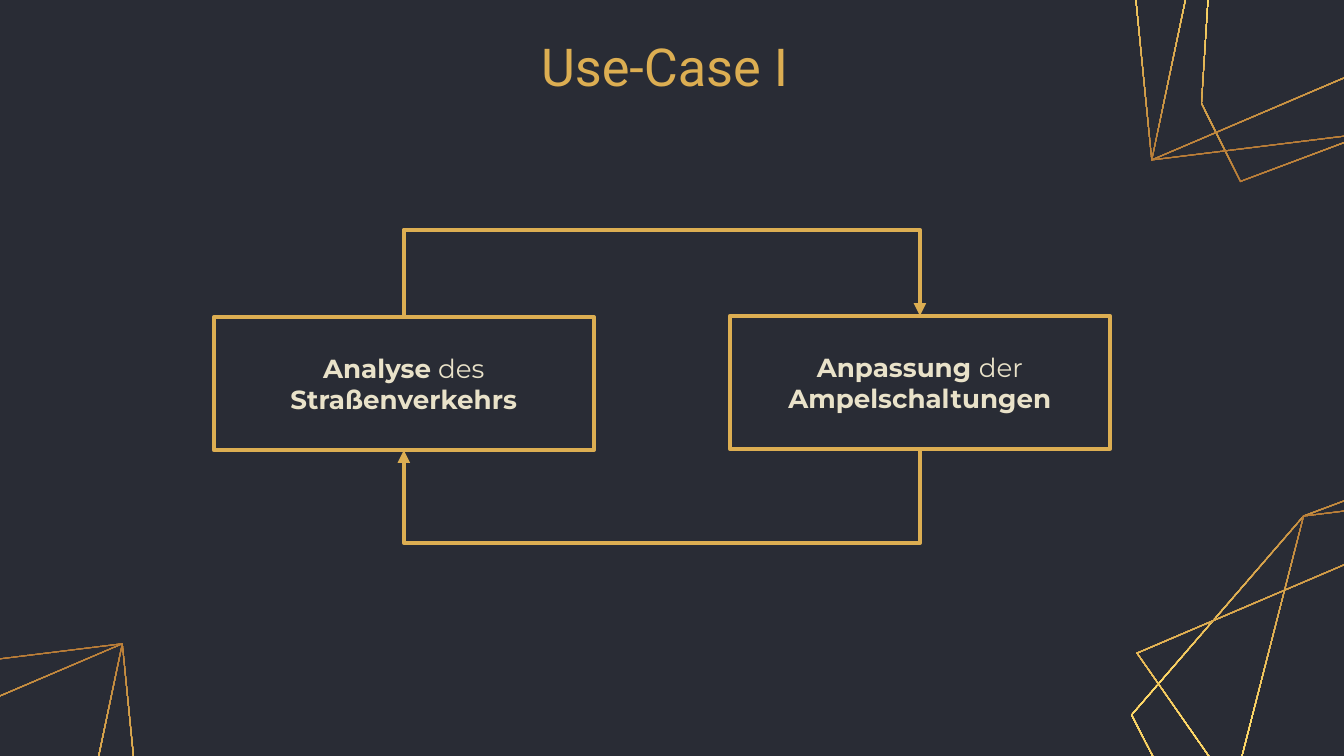
from copy import deepcopy
from math import hypot

from lxml import etree
from pptx import Presentation
from pptx.dml.color import RGBColor
from pptx.enum.shapes import MSO_CONNECTOR, MSO_SHAPE
from pptx.enum.text import MSO_ANCHOR, PP_ALIGN
from pptx.oxml.ns import qn
from pptx.util import Inches, Pt

RECTANGLE = MSO_SHAPE.RECTANGLE
ELBOW = MSO_CONNECTOR.ELBOW
CENTER = PP_ALIGN.CENTER
MIDDLE = MSO_ANCHOR.MIDDLE
TOP, BOTTOM = 0, 2

THEME = {
    "background": "292C35", "gold": "DCAE52", "text": "E9E2C9",
    "gradient": [(0, "AF7132"), (0.5, "FFDD6B"), (1, "DCAE52")],
    "title_font": "Roboto", "title_size": 28,
    "body_font": "Montserrat", "body_size": 14,
    "box_line": 2, "arrow_line": 2.25, "wire": 0.5,
}

TITLE = "Use-Case I"
STEP_SIZE = (2.83, 0.99)
STEPS = [  # left, top, (text, bold) spans
    (1.59, 2.36, [("Analyse", True), (" des ", False), ("Straßenverkehrs", True)]),
    (5.43, 2.35, [("Anpassung ", True), ("der ", False), ("Ampelschaltungen", True)]),
]
ARROWS = [  # from step, to step, side, height of the horizontal lane
    (0, 1, TOP, 1.7),
    (1, 0, BOTTOM, 4.05),
]

HEXAGON = [(9.02, 6.49), (8.42, 5.32), (9.7, 3.84), (10.66, 3.48), (10.95, 4.06), (10.83, 5.97)]
PENTAGON = [(9.89, 6.91), (9.02, 6.49), (9.7, 3.84), (11.32, 3.64), (10.83, 5.97)]
QUAD = [(9.89, 6.91), (8.46, 4.86), (11.32, 3.64), (11.45, 4.95)]
CORNERS = [  # outlines, direction (-1 is a half turn), shift, gradient angle
    ([HEXAGON, PENTAGON, QUAD], 1, (0, 0), 275.6),
    ([HEXAGON, PENTAGON, QUAD], -1, (19.89, 4.83), 95.6),
    ([PENTAGON, QUAD], 1, (-10.41, 1.15), 275.6),
]


def color(name):
    return RGBColor.from_string(THEME.get(name, name))


def inset(points, distance):
    """Move every edge of a convex outline inwards by distance."""
    moved = []
    for i, (x, y) in enumerate(points):
        (px, py), (nx, ny) = points[i - 1], points[(i + 1) % len(points)]
        before, after = hypot(x - px, y - py), hypot(nx - x, ny - y)
        ux, uy = (x - px) / before, (y - py) / before
        vx, vy = (nx - x) / after, (ny - y) / after
        reach = distance / abs(ux * vy - uy * vx)
        moved.append((x + reach * (vx - ux), y + reach * (vy - uy)))
    return moved


def add_wire(page, points, angle):
    """Draw an outline as a thin ring, so that it can hold a gradient."""
    half = Pt(THEME["wire"]).inches / 2
    rings = [[(Inches(x), Inches(y)) for x, y in ring]
             for ring in (inset(points, -half), inset(points, half)[::-1])]
    builder = page.shapes.build_freeform(*rings[0][0])
    builder.add_line_segments(rings[0][1:], close=True)
    builder.move_to(*rings[1][0])
    builder.add_line_segments(rings[1][1:], close=True)
    wire = builder.convert_to_shape()
    wire.shadow.inherit = False
    wire.line.fill.background()
    wire.fill.gradient()
    wire.fill.gradient_angle = angle
    stop_list = next(wire._element.iter(qn("a:gsLst")))
    stop_list.append(deepcopy(stop_list[0]))
    for stop, (position, tint) in zip(wire.fill.gradient_stops, THEME["gradient"]):
        stop.position = position
        stop.color.rgb = color(tint)


def style_para(para, font, size, tint):
    para.alignment = CENTER
    para.font.name = THEME[font]
    para.font.size = Pt(THEME[size])
    para.font.color.rgb = color(tint)


def add_step(page, left, top, spans):
    box = page.shapes.add_shape(RECTANGLE, *map(Inches, (left, top, *STEP_SIZE)))
    box.shadow.inherit = False
    box.fill.background()
    box.line.color.rgb = color("gold")
    box.line.width = Pt(THEME["box_line"])
    box.text_frame.word_wrap = True
    box.text_frame.vertical_anchor = MIDDLE
    para = box.text_frame.paragraphs[0]
    style_para(para, "body_font", "body_size", "text")
    for text, bold in spans:
        span = para.add_run()
        span.text = text
        span.font.bold = bold
    return box


def add_arrow(page, source, target, side, lane):
    """Join two boxes by a bent arrow that runs along the lane height."""
    arrow = page.shapes.add_connector(ELBOW, 0, 0, 0, 0)
    arrow.begin_connect(source, side)
    arrow.end_connect(target, side)
    arrow.line.color.rgb = color("gold")
    arrow.line.width = Pt(THEME["arrow_line"])
    start_x, start_y, end_x, end_y = arrow.begin_x, arrow.begin_y, arrow.end_x, arrow.end_y

    # A quarter turn makes the connector leave its box vertically.
    width, height = abs(end_y - start_y), abs(end_x - start_x)
    arrow.left = (start_x + end_x - width) // 2
    arrow.top = (start_y + end_y - height) // 2
    arrow.width, arrow.height = width, height
    properties = arrow._element.spPr
    frame = properties.find(qn("a:xfrm"))
    flip = "1" if start_x < end_x else "0"
    for key, value in (("rot", "5400000"), ("flipH", flip), ("flipV", flip)):
        frame.set(key, value)
    bend = round((Inches(lane) - start_y) / (end_y - start_y) * 100000)
    guides = next(properties.iter(qn("a:avLst")))
    etree.SubElement(guides, qn("a:gd"), name="adj1", fmla=f"val {bend}")
    etree.SubElement(properties.find(qn("a:ln")), qn("a:tailEnd"), type="triangle")
    etree.SubElement(properties, qn("a:effectLst"))


def add_title(page):
    box = page.shapes.add_textbox(*map(Inches, (2.13, 0.25, 5.63, 0.47)))
    frame = box.text_frame
    frame.word_wrap = True
    frame.vertical_anchor = MIDDLE
    frame.margin_top = frame.margin_bottom = Inches(0.1)
    para = frame.paragraphs[0]
    para.text = TITLE
    style_para(para, "title_font", "title_size", "gold")


def main():
    deck = Presentation()
    deck.slide_width = Inches(10)
    deck.slide_height = deck.slide_width * 9 // 16
    page = deck.slides.add_slide(deck.slide_layouts[6])
    page.background.fill.solid()
    page.background.fill.fore_color.rgb = color("background")
    for outlines, direction, (dx, dy), angle in CORNERS:
        for outline in outlines:
            points = [(direction * x + dx, direction * y + dy) for x, y in outline]
            add_wire(page, points, angle)
    boxes = [add_step(page, *step) for step in STEPS]
    for source, target, side, lane in ARROWS:
        add_arrow(page, boxes[source], boxes[target], side, lane)
    add_title(page)
    deck.save("out.pptx")


if __name__ == "__main__":
    main()
